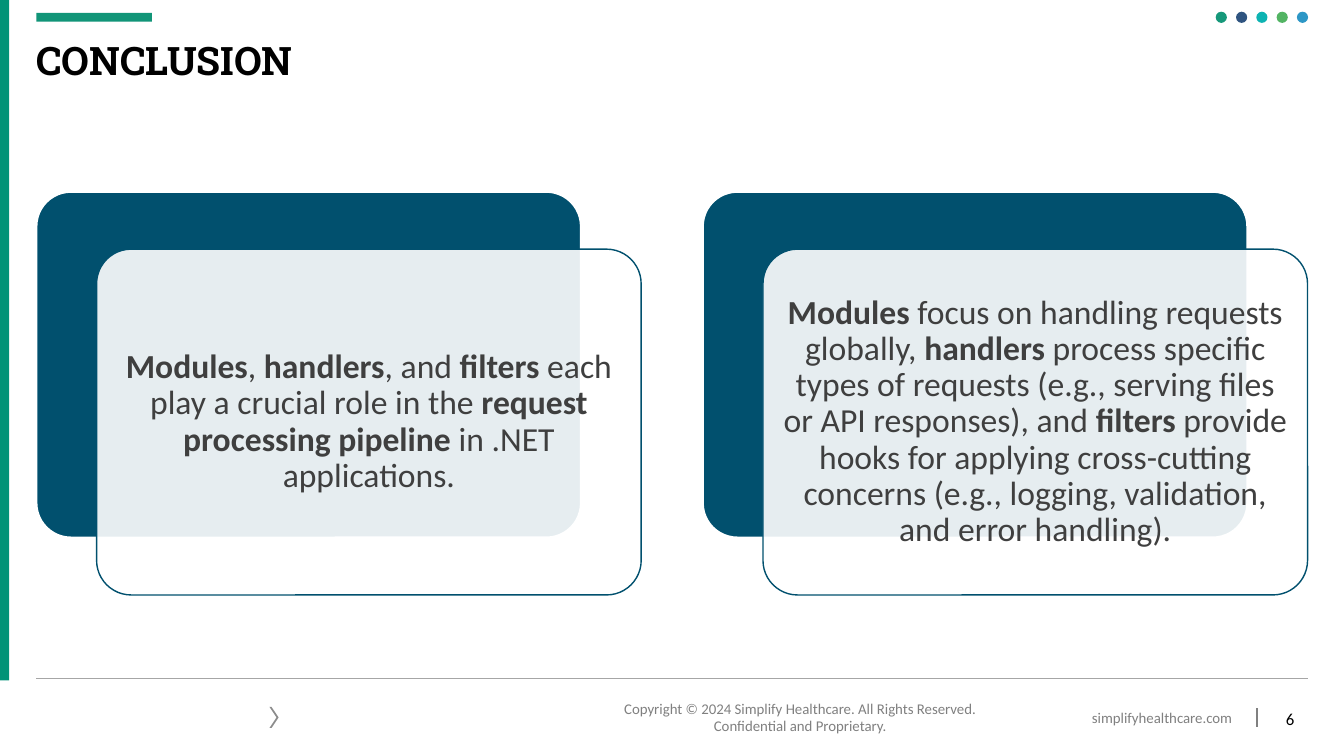
import dataclasses

import lxml.etree
import pptx
import pptx.dml.color
import pptx.enum.shapes
import pptx.enum.text
import pptx.oxml.ns
import pptx.util

Pt = pptx.util.Pt
Shape = pptx.enum.shapes.MSO_SHAPE
Align = pptx.enum.text.PP_ALIGN
Anchor = pptx.enum.text.MSO_ANCHOR

HUES = {
    "black": "000000", "white": "FFFFFF", "text": "3F3F3F", "foot": "808080",
    "rule": "A6A6A6", "arrow": "8C8C8C", "navy": "01506E",
    "side": "009377", "accent": "119578",
    "dot1": "16987A", "dot2": "2F5480", "dot3": "0DB3B2", "dot4": "52B463", "dot5": "2D97C6",
}
LEFT, RIGHT = 26, 934.5


@dataclasses.dataclass
class Block:
    kind: Shape
    left: float
    top: float
    width: float
    height: float
    fill: str
    line: str = ""
    weight: float = 1
    bend: float | None = None


@dataclasses.dataclass
class Label:
    lines: list[str]
    left: float
    top: float
    width: float
    height: float
    size: float = 10.6
    hue: str = "foot"
    align: Align = Align.CENTER


@dataclasses.dataclass
class Rule:
    x1: float
    y1: float
    x2: float
    y2: float
    hue: str


def shade(name: str) -> pptx.dml.color.RGBColor:
    return pptx.dml.color.RGBColor.from_string(HUES[name])


def style(para, face: str, size: float, hue: str, align: Align) -> None:
    para.alignment = align
    para.font.name = face
    para.font.size = Pt(size)
    para.font.color.rgb = shade(hue)


def draw_block(slide, block: Block):
    shape = slide.shapes.add_shape(
        block.kind, Pt(block.left), Pt(block.top), Pt(block.width), Pt(block.height))
    shape.shadow.inherit = False
    shape.fill.solid()
    shape.fill.fore_color.rgb = shade(block.fill)
    if block.bend is not None:
        shape.adjustments[0] = block.bend
    if block.line:
        shape.line.color.rgb = shade(block.line)
        shape.line.width = Pt(block.weight)
    else:
        shape.line.fill.background()
    return shape


def draw_label(slide, label: Label) -> None:
    box = slide.shapes.add_textbox(
        Pt(label.left), Pt(label.top), Pt(label.width), Pt(label.height))
    box.text_frame.word_wrap = True
    para = box.text_frame.paragraphs[0]
    for i, line in enumerate(label.lines):
        if i:
            para.add_line_break()
        para.add_run().text = line
    style(para, "Calibri", label.size, label.hue, label.align)


def draw_rule(slide, rule: Rule) -> None:
    line = slide.shapes.add_connector(
        pptx.enum.shapes.MSO_CONNECTOR.STRAIGHT,
        Pt(rule.x1), Pt(rule.y1), Pt(rule.x2), Pt(rule.y2))
    line.line.color.rgb = shade(rule.hue)
    line.line.width = Pt(1)
    props = line._element.spPr
    lxml.etree.SubElement(props, pptx.oxml.ns.qn("a:effectLst"))


def draw_card(slide, left: float, text: str) -> None:
    """Draw a card; words between asterisks are bold."""
    wide, high = 389, 247
    draw_block(slide, Block(Shape.ROUNDED_RECTANGLE, left, 137, wide, high,
                            "navy", "white", 1.5, 0.1))
    panel = draw_block(slide, Block(Shape.ROUNDED_RECTANGLE, left + 43, 178, wide, high,
                                    "white", "navy", 1, 0.1))
    tint = panel.fill._xPr.find(".//" + pptx.oxml.ns.qn("a:srgbClr"))
    lxml.etree.SubElement(tint, pptx.oxml.ns.qn("a:alpha"), val="90000")

    frame = panel.text_frame
    frame.word_wrap = True
    frame.vertical_anchor = Anchor.MIDDLE
    frame.margin_left = frame.margin_right = Pt(7.2)
    frame.margin_top = frame.margin_bottom = Pt(7.2)
    para = frame.paragraphs[0]
    para.line_spacing = 0.9
    for i, part in enumerate(text.split("*")):
        if part:
            run = para.add_run()
            run.text = part
            run.font.bold = i % 2 == 1
    style(para, "Calibri", 24, "text", Align.CENTER)


BLOCKS = [
    Block(Shape.CHEVRON, 192.5, 505, 6.5, 15, "arrow", bend=0.77),
    Block(Shape.RECTANGLE, 0, 0, 6.5, 486, "side"),
    Block(Shape.RECTANGLE, LEFT, 9.2, 82.5, 6.3, "accent"),
] + [
    Block(Shape.OVAL, 868.4 + 14.5 * i, 8.4, 8, 8, f"dot{i + 1}") for i in range(5)
]
LABELS = [
    Label(["Copyright © 2024 Simplify Healthcare. All Rights Reserved.",
           "Confidential and Proprietary."], 363.5, 496, 416, 33),
    Label(["simplifyhealthcare.com"], 766, 502.5, 128, 20),
    Label(["6"], 911.5, 502.5, 30, 22, 12, "black", Align.LEFT),
]
RULES = [
    Rule(898, 506, 898, 519, "foot"),
    Rule(LEFT, 484.5, RIGHT, 484.5, "rule"),
]
CARDS = [
    "*Modules*, *handlers*, and *filters* each play a crucial role in the "
    "*request processing pipeline* in .NET applications.",
    "*Modules* focus on handling requests globally, *handlers* process specific types "
    "of requests (e.g., serving files or API responses), and *filters* provide hooks "
    "for applying cross-cutting concerns (e.g., logging, validation, and error handling).",
]


def main() -> None:
    deck = pptx.Presentation()
    deck.slide_width, deck.slide_height = Pt(960), Pt(540)
    slide = deck.slides.add_slide(deck.slide_layouts[5])

    # Title
    title = slide.shapes.title
    title.left, title.top = Pt(LEFT), Pt(26)
    title.width, title.height = Pt(908), Pt(50)
    frame = title.text_frame
    frame.text = "CONCLUSION"
    frame.auto_size = pptx.enum.text.MSO_AUTO_SIZE.NONE
    frame.vertical_anchor = Anchor.TOP
    frame.margin_left = frame.margin_right = 0
    frame.margin_top = frame.margin_bottom = 0
    style(frame.paragraphs[0], "Roboto Slab", 28, "black", Align.LEFT)
    frame.paragraphs[0].font.bold = True

    # Frame and footer
    for block in BLOCKS:
        draw_block(slide, block)
    for label in LABELS:
        draw_label(slide, label)
    for rule in RULES:
        draw_rule(slide, rule)

    # Cards
    for i, text in enumerate(CARDS):
        draw_card(slide, LEFT + 476 * i, text)

    deck.save("out.pptx")


if __name__ == "__main__":
    main()
